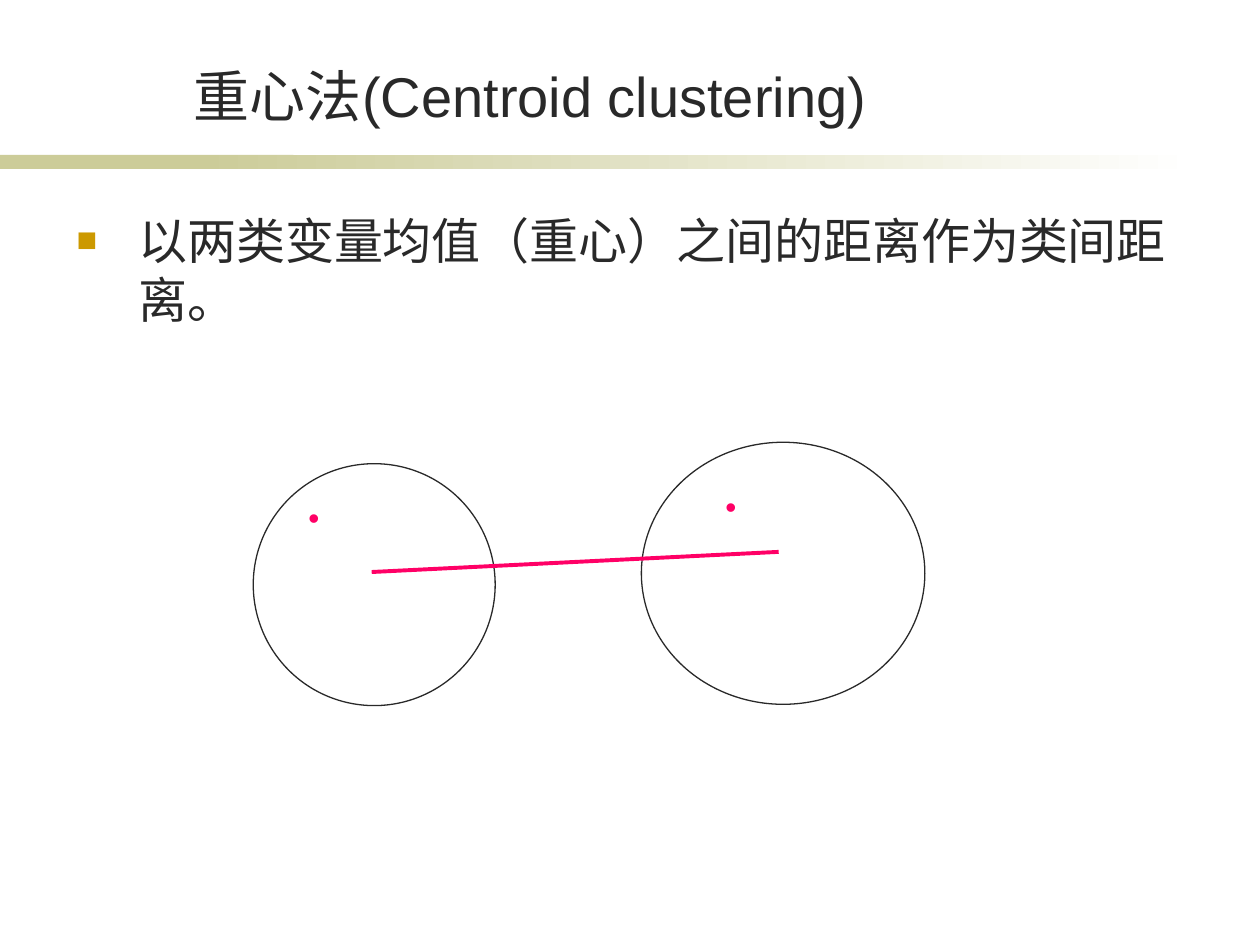
from dataclasses import dataclass

from lxml.etree import SubElement
from pptx import Presentation
from pptx.dml.color import RGBColor
from pptx.enum.shapes import MSO_CONNECTOR, MSO_SHAPE
from pptx.enum.text import MSO_ANCHOR, PP_ALIGN
from pptx.oxml.ns import qn
from pptx.util import Inches, Pt


@dataclass(frozen=True)
class Theme:
    font: str = "Arial"
    ink: str = "292929"
    accent: str = "FF0066"
    bullet: str = "CC9900"
    band: str = "CCCC99"
    paper: str = "FFFFFF"
    title_pt: int = 32
    body_pt: int = 28
    mark_pt: int = 18


@dataclass(frozen=True)
class Box:
    """Left, top, width and height in inches."""
    x: float
    y: float
    w: float
    h: float

    def emu(self):
        return [Inches(v) for v in (self.x, self.y, self.w, self.h)]


@dataclass(frozen=True)
class Cluster:
    outline: Box
    mark: Box
    centroid: tuple[float, float]


THEME = Theme()
BAND_Y, BAND_H = 1.23, 0.11
CLUSTERS = [
    Cluster(Box(2.01, 3.68, 1.92, 1.92), Box(2.35, 3.9, 0.43, 0.4), (2.95, 4.54)),
    Cluster(Box(5.09, 3.51, 2.25, 2.08), Box(5.66, 3.82, 0.43, 0.4), (6.18, 4.38)),
]


def rgb(color: str) -> RGBColor:
    return RGBColor.from_string(color)


def add_bullet(p, indent: float) -> None:
    """Hang a small square bullet in front of the paragraph."""
    pPr = p._p.get_or_add_pPr()
    pPr.set("marL", str(Inches(indent)))
    pPr.set("indent", str(-Inches(indent)))
    color = SubElement(pPr, qn("a:buClr"))
    SubElement(color, qn("a:srgbClr"), val=THEME.bullet)
    SubElement(pPr, qn("a:buSzPct"), val="70000")
    SubElement(pPr, qn("a:buFont"), typeface=THEME.font)
    SubElement(pPr, qn("a:buChar"), char="■")


def add_text(s, text: str, box: Box, *, size: int, color: str = THEME.ink,
             align=PP_ALIGN.LEFT, anchor=MSO_ANCHOR.TOP, indent: float = 0) -> None:
    tf = s.shapes.add_textbox(*box.emu()).text_frame
    tf.word_wrap = True
    tf.vertical_anchor = anchor
    p = tf.paragraphs[0]
    p.alignment = align
    if indent:
        add_bullet(p, indent)
    r = p.add_run()
    r.text = text
    r.font.name = THEME.font
    r.font.size = Pt(size)
    r.font.color.rgb = rgb(color)


def add_band(s, x: float, w: float, fade: bool = False) -> None:
    sp = s.shapes.add_shape(MSO_SHAPE.RECTANGLE, *Box(x, BAND_Y, w, BAND_H).emu())
    sp.shadow.inherit = False
    sp.line.fill.background()
    if fade:
        sp.fill.gradient()
        sp.fill.gradient_angle = 0
        for stop, color in zip(sp.fill.gradient_stops, (THEME.band, THEME.paper)):
            stop.color.rgb = rgb(color)
    else:
        sp.fill.solid()
        sp.fill.fore_color.rgb = rgb(THEME.band)


def add_outline(s, box: Box) -> None:
    sp = s.shapes.add_shape(MSO_SHAPE.OVAL, *box.emu())
    sp.shadow.inherit = False
    sp.fill.background()
    sp.line.color.rgb = rgb(THEME.ink)
    sp.line.width = Pt(0.75)


def add_link(s, start: tuple[float, float], end: tuple[float, float]) -> None:
    line = s.shapes.add_connector(MSO_CONNECTOR.STRAIGHT,
                                  *(Inches(v) for v in start + end))
    line.line.color.rgb = rgb(THEME.accent)
    line.line.width = Pt(2.25)
    SubElement(line._element.spPr, qn("a:effectLst"))


def main() -> None:
    prs = Presentation()
    prs.slide_width, prs.slide_height = Inches(10), Inches(7.5)
    s = prs.slides.add_slide(prs.slide_layouts[6])

    add_band(s, 0, 2.33)
    add_band(s, 1.58, 7.92, fade=True)
    add_text(s, "重心法(Centroid clustering)", Box(1.14, 0.44, 6.14, 0.63),
             size=THEME.title_pt, align=PP_ALIGN.CENTER, anchor=MSO_ANCHOR.BOTTOM)
    add_text(s, "以两类变量均值（重心）之间的距离作为类间距离。",
             Box(0.51, 1.62, 8.9, 4.8), size=THEME.body_pt, indent=0.49)

    for cluster in CLUSTERS:
        add_text(s, "•", cluster.mark, size=THEME.mark_pt, color=THEME.accent)
    for cluster in CLUSTERS:
        add_outline(s, cluster.outline)
    add_link(s, *(cluster.centroid for cluster in CLUSTERS))

    prs.save("out.pptx")


if __name__ == "__main__":
    main()
